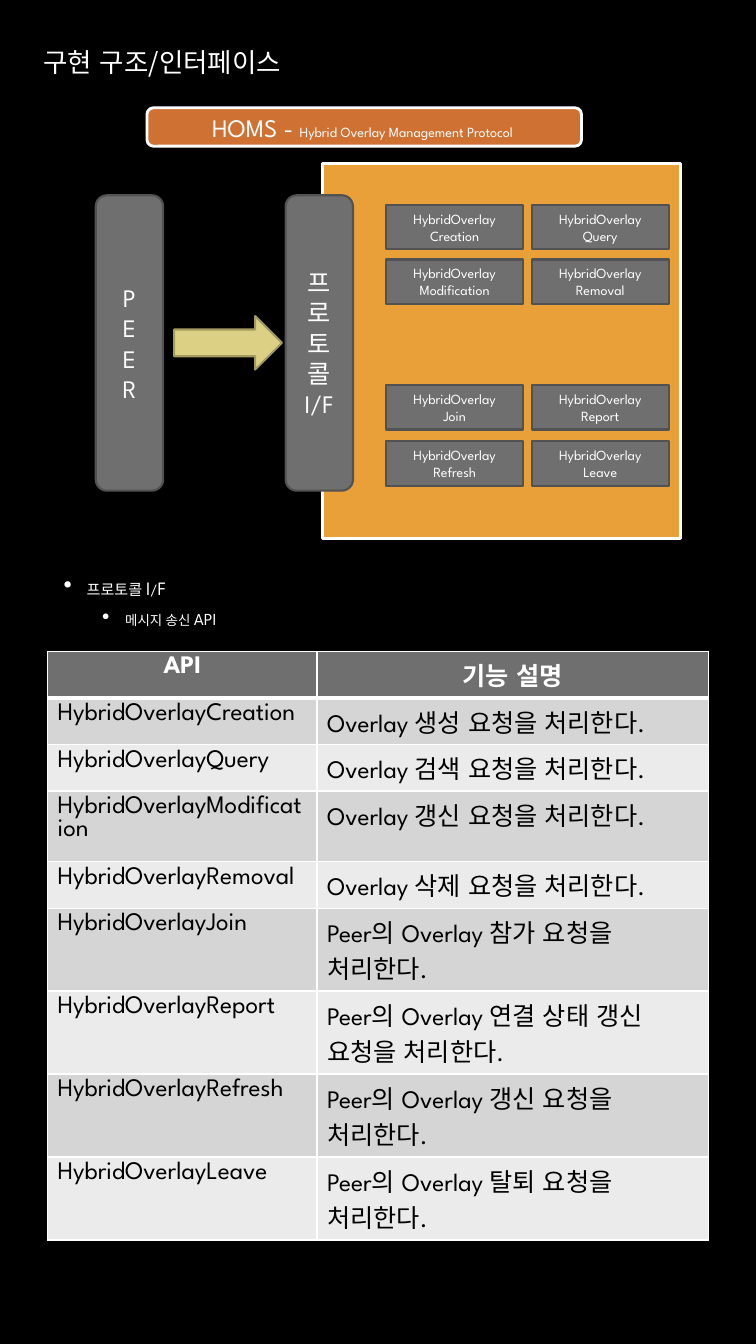
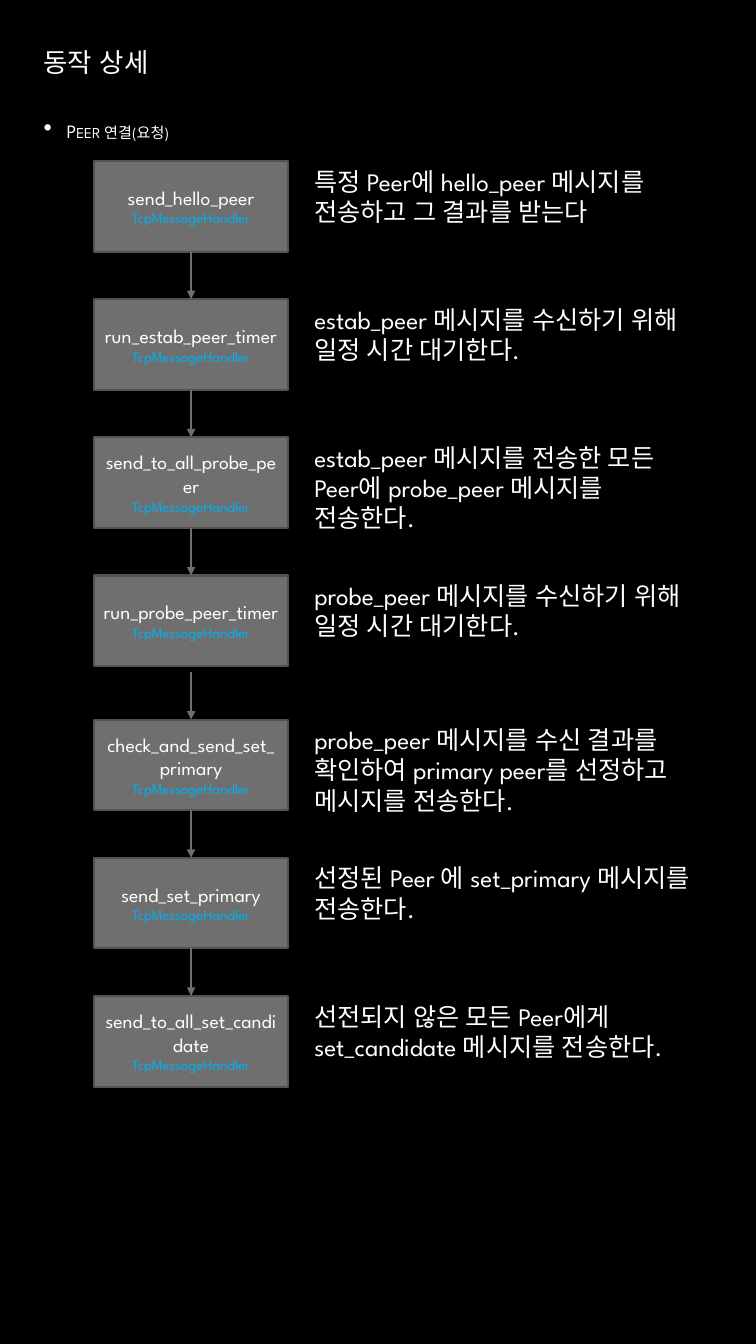
from lxml import etree
from pptx import Presentation
from pptx.dml.color import RGBColor
from pptx.enum import lang, shapes, text
from pptx.oxml import ns
from pptx.util import Pt

# Shared look
BLACK = RGBColor(0x00, 0x00, 0x00)
WHITE = RGBColor(0xFF, 0xFF, 0xFF)
GRAY = RGBColor(0x6F, 0x6F, 0x6F)
DARK_GRAY = RGBColor(0x52, 0x52, 0x52)
ORANGE = RGBColor(0xE9, 0xA0, 0x39)
RUST = RGBColor(0xCF, 0x71, 0x33)
SAND = RGBColor(0xDC, 0xD0, 0x84)
OLIVE = RGBColor(0xA3, 0x9A, 0x62)
CYAN = RGBColor(0x00, 0xB0, 0xF0)
BANDS = (RGBColor(0xD5, 0xD5, 0xD5), RGBColor(0xEB, 0xEB, 0xEB))
LATIN = "League Spartan"
KOREAN = "Noto Sans CJK KR"
LINE_HEIGHT = 1.2

RECTANGLE = shapes.MSO_SHAPE.RECTANGLE
ROUNDED = shapes.MSO_SHAPE.ROUNDED_RECTANGLE
CENTER = text.PP_ALIGN.CENTER
MIDDLE = text.MSO_ANCHOR.MIDDLE

# Table row heights: one line, a wrapped name, a wrapped description
ONE_LINE, WRAPPED_NAME, TWO_LINES = 33.3, 40.2, 59.3

# Slide content
OPERATIONS = [
    ("Creation", "Overlay 생성 요청을 처리한다.", ONE_LINE),
    ("Query", "Overlay 검색 요청을 처리한다.", ONE_LINE),
    ("Modification", "Overlay 갱신 요청을 처리한다.", WRAPPED_NAME),
    ("Removal", "Overlay 삭제 요청을 처리한다.", ONE_LINE),
    ("Join", "Peer의 Overlay 참가 요청을 처리한다.", TWO_LINES),
    ("Report", "Peer의 Overlay 연결 상태 갱신 요청을 처리한다.", TWO_LINES),
    ("Refresh", "Peer의 Overlay 갱신 요청을 처리한다.", TWO_LINES),
    ("Leave", "Peer의 Overlay 탈퇴 요청을 처리한다.", TWO_LINES),
]
STEPS = [
    ("send_hello_peer", "특정 Peer에 hello_peer 메시지를 전송하고 그 결과를 받는다"),
    ("run_estab_peer_timer", "estab_peer 메시지를 수신하기 위해 일정 시간 대기한다."),
    ("send_to_all_probe_peer",
     "estab_peer 메시지를 전송한 모든 Peer에 probe_peer 메시지를 전송한다."),
    ("run_probe_peer_timer", "probe_peer 메시지를 수신하기 위해 일정 시간 대기한다."),
    ("check_and_send_set_primary",
     "probe_peer 메시지를 수신 결과를 확인하여 primary peer를 선정하고 메시지를 전송한다."),
    ("send_set_primary", "선정된 Peer 에 set_primary 메시지를 전송한다."),
    ("send_to_all_set_candidate",
     "선전되지 않은 모든 Peer에게 set_candidate 메시지를 전송한다."),
]


def add_xml(parent, tag, **attributes):
    return etree.SubElement(parent, ns.qn(tag), attributes)


def style_run(run, size, color=WHITE, latin=LATIN, east_asian=LATIN, bold=False):
    run.font.size = Pt(size)
    run.font.bold = bold
    run.font.language_id = lang.MSO_LANGUAGE_ID.KOREAN
    run.font.color.rgb = color
    run.font.name = latin
    add_xml(run.font._element, "a:ea", typeface=east_asian)


def style_paragraph(paragraph, size, color=WHITE, alignment=None):
    paragraph.alignment = alignment
    paragraph.line_spacing = Pt(round(size * LINE_HEIGHT, 1))
    for run in paragraph.runs:
        style_run(run, size, color)


def add_text_box(slide, box, content):
    frame = slide.shapes.add_textbox(*map(Pt, box)).text_frame
    frame.word_wrap = True
    frame.text = content
    return frame


def add_block(slide, kind, box, fill, outline, width=1.5, content="", size=18):
    block = slide.shapes.add_shape(kind, *map(Pt, box))
    block.shadow.inherit = False
    block.fill.solid()
    block.fill.fore_color.rgb = fill
    block.line.color.rgb = outline
    block.line.width = Pt(width)
    frame = block.text_frame
    frame.word_wrap = True
    frame.vertical_anchor = MIDDLE
    if content:
        frame.text = content
        for paragraph in frame.paragraphs:
            style_paragraph(paragraph, size, alignment=CENTER)
    return block


def add_gray_block(slide, kind, box, content, size):
    return add_block(slide, kind, box, GRAY, DARK_GRAY, content=content, size=size)


def add_bullets(slide, box, items):
    """Each item is its text, size and left margin."""
    frame = add_text_box(slide, box, "\n".join(item[0] for item in items))
    for index, (paragraph, (_, size, margin)) in enumerate(zip(frame.paragraphs, items)):
        properties = paragraph._p.get_or_add_pPr()
        properties.set("marL", str(Pt(margin)))
        properties.set("indent", str(-Pt(16.5)))
        bullet_color = add_xml(properties, "a:buClr")
        add_xml(bullet_color, "a:srgbClr", val=str(WHITE))
        add_xml(properties, "a:buSzPct", val="130000")
        add_xml(properties, "a:buChar", char="•")
        style_paragraph(paragraph, size)
        paragraph.space_after = Pt(4.5)
        if index:
            paragraph.space_before = Pt(2.4)
        for run in paragraph.runs:
            run.font._element.set("cap", "small")


def add_arrow(slide, top, length, source, target):
    """Downward arrow ending at target, joined to source when they touch."""
    middle = target.left + target.width // 2
    arrow = slide.shapes.add_connector(
        shapes.MSO_CONNECTOR.STRAIGHT, middle, Pt(top - length), middle, Pt(top))
    if abs(source.top + source.height - Pt(top - length)) < Pt(1):
        arrow.begin_connect(source, 2)
    arrow.end_connect(target, 0)
    arrow.line.color.rgb = GRAY
    arrow.line.width = Pt(2)
    add_xml(arrow.line._get_or_add_ln(), "a:tailEnd", type="triangle")
    add_xml(arrow._element.spPr, "a:effectLst")


def set_borders(cell, header):
    properties = cell._tc.get_or_add_tcPr()
    for side in "LRTB":
        width = 3 if header and side == "B" else 1
        line = add_xml(properties, "a:ln" + side, w=str(Pt(width)))
        add_xml(add_xml(line, "a:solidFill"), "a:srgbClr", val=str(WHITE))


def add_api_table(slide, left, top, widths):
    rows = [("API", "기능 설명", ONE_LINE)]
    rows += [("HybridOverlay" + name, detail, height) for name, detail, height in OPERATIONS]
    total_height = sum(row[2] for row in rows)
    table = slide.shapes.add_table(
        len(rows), 2, Pt(left), Pt(top), Pt(sum(widths)), Pt(total_height)).table
    table.horz_banding = False
    for column, width in zip(table.columns, widths):
        column.width = Pt(width)
    for row_index, (*contents, height) in enumerate(rows):
        header = row_index == 0
        table.rows[row_index].height = Pt(height)
        for column_index, content in enumerate(contents):
            cell = table.cell(row_index, column_index)
            set_borders(cell, header)
            cell.fill.solid()
            cell.fill.fore_color.rgb = GRAY if header else BANDS[(row_index - 1) % 2]
            cell.text_frame.text = content
            paragraph = cell.text_frame.paragraphs[0]
            if header:
                paragraph.alignment = CENTER
            style_run(paragraph.runs[0], 18, WHITE if header else BLACK,
                      east_asian=KOREAN, bold=header)


def add_slide(presentation, title):
    slide = presentation.slides.add_slide(presentation.slide_layouts[6])
    slide.background.fill.solid()
    slide.background.fill.fore_color.rgb = BLACK
    frame = add_text_box(slide, (24, 29, 494, 30), title)
    frame.vertical_anchor = MIDDLE
    style_run(frame.paragraphs[0].runs[0], 18.9, latin=KOREAN, east_asian=KOREAN)
    return slide


def build_interface_slide(presentation):
    slide = add_slide(presentation, "구현 구조/인터페이스")
    add_block(slide, RECTANGLE, (230.4, 116.6, 255.6, 268), ORANGE, WHITE, 2)
    add_bullets(slide, (38.3, 408.2, 472, 50),
                [("프로토콜 I/F", 13.5, 16.5), ("메시지 송신 API", 12, 44)])

    # Protocol banner
    banner = add_block(slide, ROUNDED, (105, 77, 310.4, 27.4), RUST, WHITE, 2, "HOMS - ")
    subtitle = banner.text_frame.paragraphs[0].add_run()
    subtitle.text = "Hybrid Overlay Management Protocol "
    style_run(subtitle, 10)

    # Peer, arrow and protocol interface
    for left, label in ((68.4, "P\nE\nE\nR"), (204, "프로토콜 I/F")):
        add_gray_block(slide, ROUNDED, (left, 139.5, 48.2, 211), label, 18)
    add_block(slide, shapes.MSO_SHAPE.RIGHT_ARROW, (124.4, 225.8, 77, 38.2), SAND, OLIVE)

    # Operations, two to a row
    row_tops = (146.5, 185.4, 275.2, 315.2)
    for index, (name, *_) in enumerate(OPERATIONS):
        left = 275.8 + 104 * (index % 2)
        add_gray_block(slide, RECTANGLE, (left, row_tops[index // 2], 97.9, 31.7),
                       "HybridOverlay\n" + name, 10)

    add_api_table(slide, 34, 465.1, (192.5, 279.5))


def build_flow_slide(presentation):
    slide = add_slide(presentation, "동작 상세")
    add_bullets(slide, (24, 82, 494, 30), [("Peer 연결(요청)", 13.5, 16.5)])

    height, pitch = 64.8, 98.7
    previous = None
    for index, (name, detail) in enumerate(STEPS):
        # The second phase starts slightly lower
        top = 115 + pitch * index + (4.2 if index >= 4 else 0)
        step = add_gray_block(slide, RECTANGLE, (67, top, 139, height),
                              name + "\nTcpMessageHandler", 14)
        handler = step.text_frame.paragraphs[1]
        handler.line_spacing = Pt(12.6)
        handler.runs[0].font.size = Pt(10.5)
        handler.runs[0].font.color.rgb = CYAN
        frame = add_text_box(slide, (217.4, top, 284.4, 72), detail)
        style_paragraph(frame.paragraphs[0], 18)
        if previous is not None:
            add_arrow(slide, top, pitch - height, previous, step)
        previous = step


def main():
    presentation = Presentation()
    presentation.slide_width, presentation.slide_height = Pt(540), Pt(960)
    build_interface_slide(presentation)
    build_flow_slide(presentation)
    presentation.save("out.pptx")


if __name__ == "__main__":
    main()
